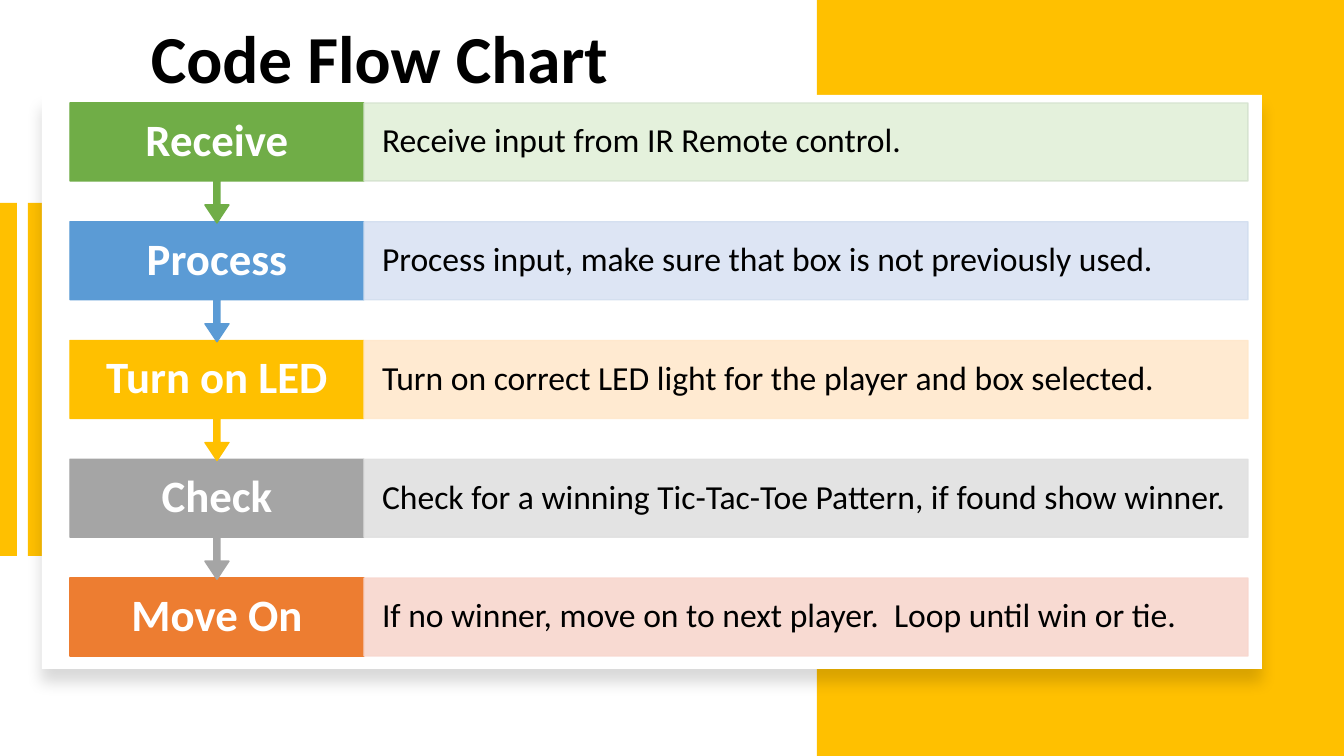
from lxml import etree
from pptx import Presentation
from pptx.dml.color import RGBColor
from pptx.enum.shapes import MSO_SHAPE
from pptx.enum.text import MSO_ANCHOR, PP_ALIGN
from pptx.oxml.ns import qn
from pptx.util import Pt

PX = 914400 / 100.8
RECTANGLE = MSO_SHAPE.RECTANGLE
CALLOUT = MSO_SHAPE.DOWN_ARROW_CALLOUT
CENTER, LEFT = PP_ALIGN.CENTER, PP_ALIGN.LEFT
MIDDLE, TOP = MSO_ANCHOR.MIDDLE, MSO_ANCHOR.TOP
FONT = "Calibri"
TITLE_ONLY = 5

COLORS = {
    "white": "FFFFFF",
    "black": "000000",
    "gold": "FFC000",
    "green": "70AD47",
    "blue": "5B9BD5",
    "gray": "A5A5A5",
    "orange": "ED7D31",
    "pale green": "E2F0D9",
    "pale green edge": "D5E3CF",
    "pale blue": "DAE3F3",
    "pale blue edge": "D2DEEF",
    "pale gold": "FFE8CC",
    "pale gray": "E1E1E1",
    "pale orange": "F8D7CE",
}

STEPS = [
    ("Receive", "Receive input from IR Remote control.",
     "green", "pale green", "pale green edge"),
    ("Process", "Process input, make sure that box is not previously used.",
     "blue", "pale blue", "pale blue edge"),
    ("Turn on LED", "Turn on correct LED light for the player and box selected.",
     "gold", "pale gold", "pale gold"),
    ("Check", "Check for a winning Tic-Tac-Toe Pattern, if found show winner.",
     "gray", "pale gray", "pale gray"),
    ("Move On", "If no winner, move on to next player.  Loop until win or tie.",
     "orange", "pale orange", "pale orange"),
]


def px(length):
    return round(length * PX)


def rgb(name):
    return RGBColor.from_string(COLORS[name])


def add_box(slide, box, fill, line=None, kind=RECTANGLE):
    shape = slide.shapes.add_shape(kind, *map(px, box))
    shape.shadow.inherit = False
    shape.fill.solid()
    shape.fill.fore_color.rgb = rgb(fill)
    if line:
        shape.line.color.rgb = rgb(line)
        shape.line.width = Pt(1)
    else:
        shape.line.fill.background()
    return shape


def set_opacity(shape, percent):
    for color in shape._element.spPr.iter(qn("a:srgbClr")):
        etree.SubElement(color, qn("a:alpha"), val=str(percent * 1000))


def write_text(shape, text, size, color, bold, alignment, anchor, inset):
    frame = shape.text_frame
    frame.text = text
    frame.word_wrap = True
    frame.vertical_anchor = anchor
    frame.margin_left = frame.margin_right = px(inset)
    frame.margin_top = frame.margin_bottom = px(5)
    paragraph = frame.paragraphs[0]
    paragraph.alignment = alignment
    paragraph.line_spacing = 0.9
    font = paragraph.font
    font.name = FONT
    font.size = Pt(size)
    font.bold = bold
    font.color.rgb = rgb(color)


def add_backdrop(slide, box):
    left, top, width, height = box
    add_box(slide, (left + 817, top, width - 817, height), "gold")
    for offset in (0, 28):
        add_box(slide, (left + offset, top + 203, 17, 353), "gold")


def add_panel(slide, box):
    panel = add_box(slide, box, "white")
    effects = panel._element.spPr.find(qn("a:effectLst"))
    shadow = etree.SubElement(
        effects, qn("a:outerShdw"), blurRad=str(Pt(11)), dist=str(Pt(10)),
        dir="5400000", algn="t", rotWithShape="0")
    color = etree.SubElement(shadow, qn("a:srgbClr"), val=COLORS["black"])
    etree.SubElement(color, qn("a:alpha"), val="15000")


def place_title(slide, box):
    title = slide.shapes.title
    title.left, title.top, title.width, title.height = map(px, box)
    write_text(title, "Code Flow Chart", 48, "black", True, CENTER, TOP, 10)
    slide.shapes._spTree.append(title._element)


def add_step(slide, box, step, has_arrow):
    left, top, width, height = box
    label, description, color, pale, edge = step
    label_width = width // 4
    if has_arrow:
        head = add_box(slide, (left, top, label_width, 120), color, color, CALLOUT)
        for index, value in enumerate((0.05, 0.1, 0.15, 0.65)):
            head.adjustments[index] = value
    else:
        head = add_box(slide, (left, top, label_width, height), color, color)
    write_text(head, label, 32, "white", True, CENTER, MIDDLE, 21)

    detail_box = (left + label_width, top, width - label_width, height)
    detail = add_box(slide, detail_box, pale, edge)
    set_opacity(detail, 90)
    write_text(detail, description, 24, "black", False, LEFT, MIDDLE, 18)


def add_flow(slide, box):
    left, top, width, height = box
    row_height = 78
    last = len(STEPS) - 1
    pitch = (height - row_height) / last
    for index in reversed(range(len(STEPS))):
        row = (left, top + index * pitch, width, row_height)
        add_step(slide, row, STEPS[index], index < last)


def main():
    presentation = Presentation()
    presentation.slide_width = px(1344)
    presentation.slide_height = px(756)
    slide = presentation.slides.add_slide(presentation.slide_layouts[TITLE_ONLY])
    add_backdrop(slide, (0, 0, 1344, 756))
    add_panel(slide, (42, 95, 1220, 574))
    place_title(slide, (57, 20, 645, 122))
    add_flow(slide, (70, 103, 1178, 553))
    presentation.save("out.pptx")


if __name__ == "__main__":
    main()
